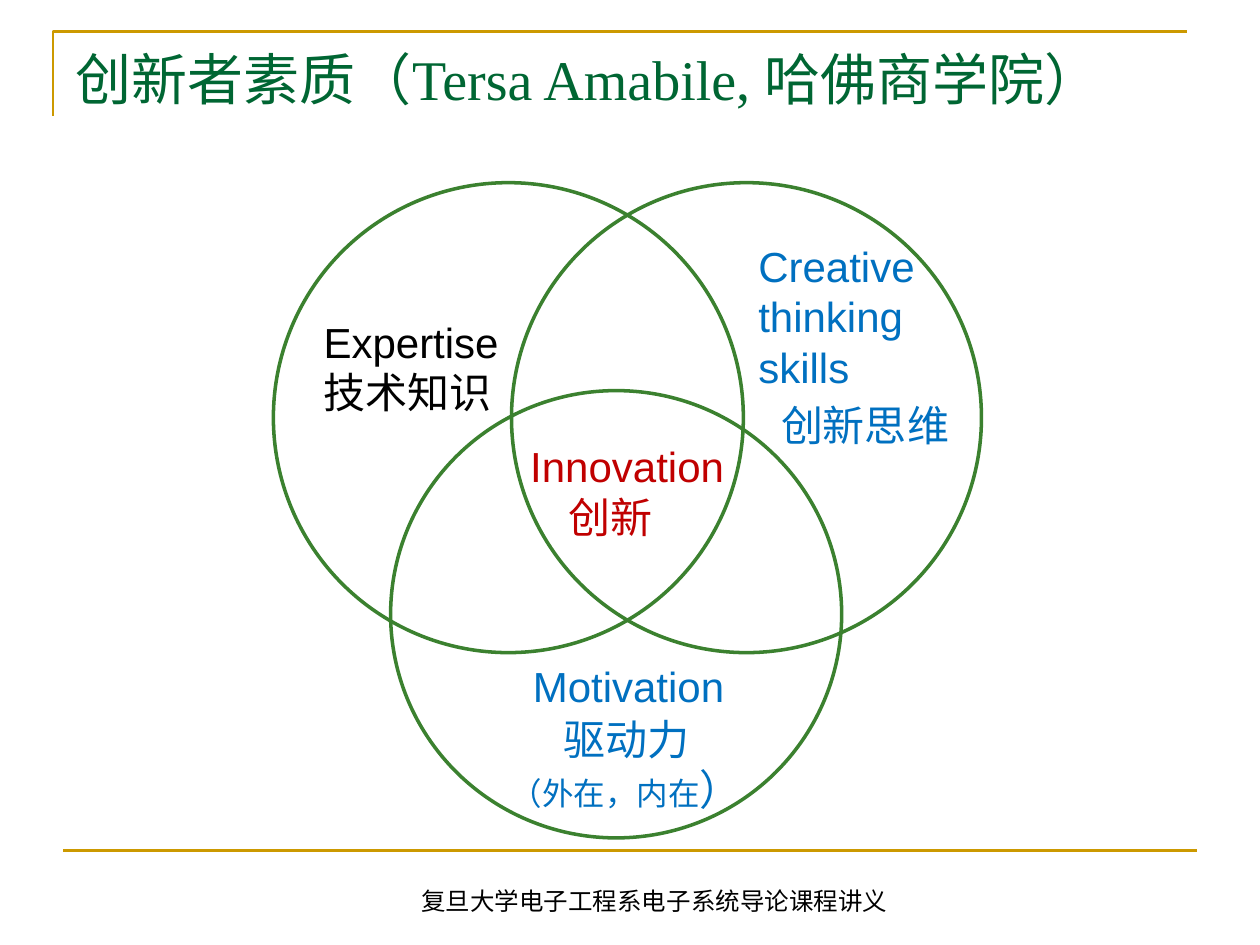
from pptx import Presentation
from pptx.dml.color import RGBColor
from pptx.enum.shapes import MSO_CONNECTOR, MSO_SHAPE
from pptx.enum.text import MSO_ANCHOR, MSO_AUTO_SIZE, PP_ALIGN
from pptx.oxml.ns import qn
from pptx.util import Inches, Pt
from lxml import etree

ELLIPSE = MSO_SHAPE.OVAL
STRAIGHT = MSO_CONNECTOR.STRAIGHT
TOP = MSO_ANCHOR.TOP
NO_AUTOFIT = MSO_AUTO_SIZE.NONE
LEFT, CENTER = PP_ALIGN.LEFT, PP_ALIGN.CENTER
TITLE_ONLY = 5

COLORS = {
    "gold": "CC9900",
    "title": "006633",
    "circle": "3B812F",
    "black": "000000",
    "blue": "0070C0",
    "red": "C00000",
}


def color(name):
    return RGBColor.from_string(COLORS[name])


def style_line(shape, name, width):
    shape.line.color.rgb = color(name)
    shape.line.width = Pt(width)


def place(shape, left, top, width, height):
    shape.left, shape.top = Inches(left), Inches(top)
    shape.width, shape.height = Inches(width), Inches(height)


def write(frame, paragraphs, *, size=24, font="Arial", fill="black",
          align=LEFT, indents=()):
    """Each paragraph is a string or a list of (text, size) runs."""
    frame.word_wrap = True
    frame.auto_size = NO_AUTOFIT
    frame.vertical_anchor = TOP
    for index, content in enumerate(paragraphs):
        paragraph = frame.paragraphs[0] if index == 0 else frame.add_paragraph()
        paragraph.alignment = align
        if index < len(indents):
            properties = paragraph._p.get_or_add_pPr()
            properties.set("marL", str(Inches(indents[index])))
        runs = [(content, size)] if isinstance(content, str) else content
        for text, run_size in runs:
            run = paragraph.add_run()
            run.text = text
            run.font.size = Pt(run_size)
            run.font.name = font
            run.font.color.rgb = color(fill)


def add_label(slide, box, paragraphs, **text_format):
    label = slide.shapes.add_textbox(*map(Inches, box))
    write(label.text_frame, paragraphs, **text_format)


def add_circle(slide, left, top, width, height):
    circle = slide.shapes.add_shape(
        ELLIPSE, *map(Inches, (left, top, width, height)))
    circle.shadow.inherit = False
    circle.fill.background()
    style_line(circle, "circle", 2)


def add_frame(slide):
    # Corner rule around the title
    builder = slide.shapes.build_freeform(Inches(0.42), Inches(0.92))
    builder.add_line_segments(
        [(Inches(0.42), Inches(0.25)), (Inches(9.42), Inches(0.25))],
        close=False)
    corner = builder.convert_to_shape()
    corner.shadow.inherit = False
    corner.fill.background()
    style_line(corner, "gold", 1.5)

    # Rule above the footer
    rule = slide.shapes.add_connector(
        STRAIGHT, Inches(0.5), Inches(6.75), Inches(9.5), Inches(6.75))
    etree.SubElement(rule._element.spPr, qn("a:effectLst"))
    style_line(rule, "gold", 1.5)

    add_label(slide, (0.98, 6.98, 8.43, 0.33),
              ["复旦大学电子工程系电子系统导论课程讲义"], size=14, align=CENTER)


def add_title(slide):
    title = slide.shapes.title
    place(title, 0.5, 0.3, 9, 0.93)
    write(title.text_frame, ["创新者素质（Tersa Amabile, 哈佛商学院）"],
          size=32, font="Times New Roman", fill="title")


def add_venn(slide):
    # Three overlapping circles
    for left in (2.17, 4.06):
        add_circle(slide, left, 1.45, 3.73, 3.73)
    add_circle(slide, 3.1, 3.1, 3.58, 3.55)

    # Labels of the circles and of their overlap
    add_label(slide, (2.47, 2.46, 1.84, 0.91), ["Expertise", "技术知识"])
    add_label(slide, (5.92, 1.86, 2.2, 1.31),
              ["Creative thinking", "skills"], fill="blue")
    add_label(slide, (4.11, 3.45, 2.19, 0.91),
              ["Innovation", "创新"], fill="red", indents=(0, 0.3))
    add_label(slide, (4.13, 5.19, 2.19, 0.51), ["Motivation"], fill="blue")
    add_label(slide, (6.1, 3.12, 2.19, 0.51), ["创新思维"], fill="blue")
    add_label(slide, (3.18, 5.61, 3.58, 0.91),
              ["驱动力", [("（外在，内在", 18), ("）", 24)]],
              fill="blue", align=CENTER)


def main():
    presentation = Presentation()
    presentation.slide_width = Inches(10)
    presentation.slide_height = Inches(7.5)
    slide = presentation.slides.add_slide(
        presentation.slide_layouts[TITLE_ONLY])
    add_frame(slide)
    add_title(slide)
    add_venn(slide)
    presentation.save("out.pptx")


if __name__ == "__main__":
    main()
